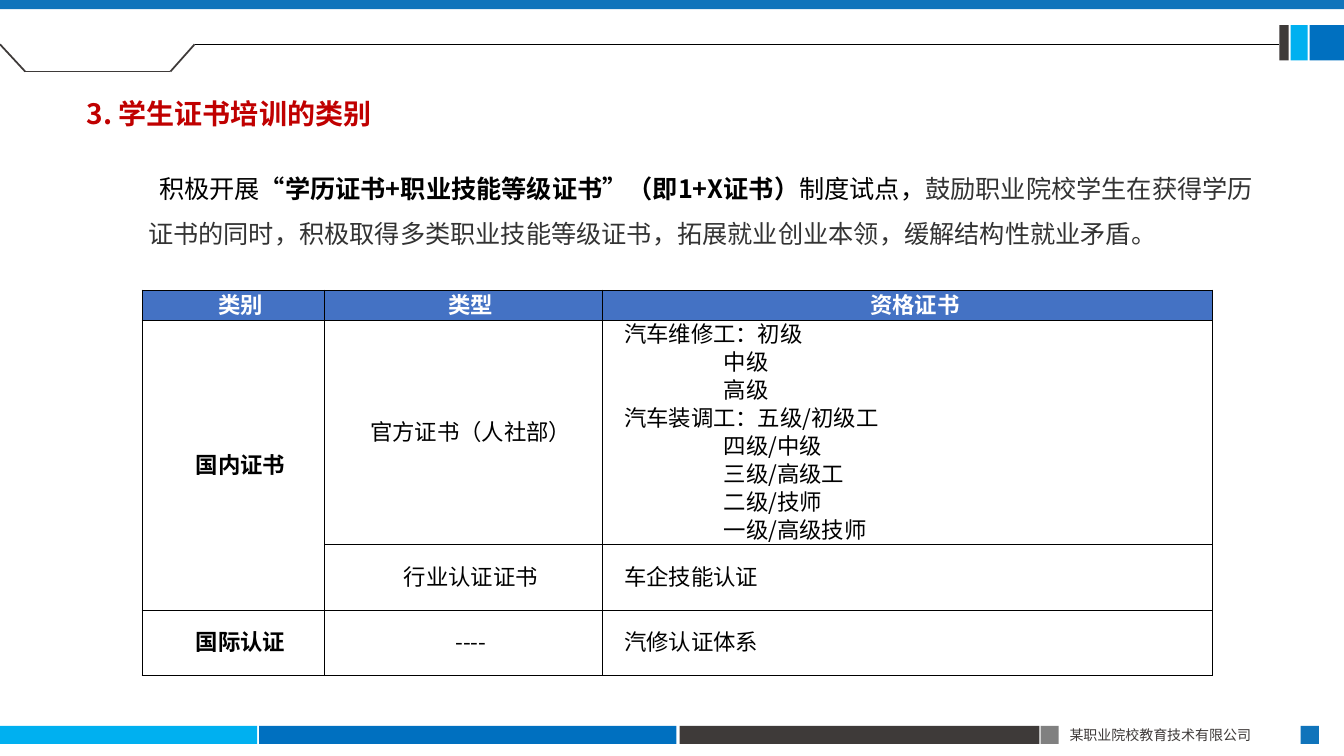
import dataclasses

import lxml.etree
import pptx
import pptx.dml.color
import pptx.enum.shapes
import pptx.enum.text
import pptx.oxml.ns
import pptx.util

Inches, Pt = pptx.util.Inches, pptx.util.Pt
qn = pptx.oxml.ns.qn
ALIGN = pptx.enum.text.PP_ALIGN
MIDDLE = pptx.enum.text.MSO_ANCHOR.MIDDLE

FONT = "Noto Sans CJK SC"
COLORS = {
    "blue": "0070C0", "cyan": "00B0F0", "dark": "3E3A39", "band": "1074BB",
    "gray": "808080", "black": "000000", "body": "333333", "red": "C00000",
    "header": "4472C4", "white": "FFFFFF",
}


@dataclasses.dataclass
class Block:
    left: float
    top: float
    width: float
    height: float
    color: str


@dataclasses.dataclass
class Rule:
    x1: float
    y1: float
    x2: float
    y2: float
    color: str = "dark"
    weight: float = 1.25


@dataclasses.dataclass
class Span:
    text: str
    color: str = "black"
    bold: bool = False


@dataclasses.dataclass
class Entry:
    row: int
    col: int
    lines: list[str]
    bold: bool = False


FOOT_Y, FOOT_H = 7.2, 0.18
BLOCKS = [
    Block(0, 0, 13.33, 0.09, "band"),
    # Top right corner
    Block(12.69, 0.25, 0.09, 0.35, "dark"),
    Block(12.8, 0.25, 0.17, 0.35, "cyan"),
    Block(12.99, 0.25, 0.35, 0.35, "blue"),
    # Footer
    Block(0, FOOT_Y, 2.55, FOOT_H, "cyan"),
    Block(2.57, FOOT_Y, 4.14, FOOT_H, "blue"),
    Block(6.74, FOOT_Y, 3.57, FOOT_H, "dark"),
    Block(10.32, FOOT_Y, 0.18, FOOT_H, "gray"),
    Block(12.9, FOOT_Y, 0.18, FOOT_H, "band"),
]
RULES = [
    Rule(0, 0.44, 0.25, 0.71),
    Rule(0.25, 0.71, 1.69, 0.71),
    Rule(1.69, 0.71, 1.93, 0.44),
    Rule(1.93, 0.44, 12.69, 0.44, "black", 0.5),
]
INTRO = [
    Span("积极开展"),
    Span("“学历证书+职业技能等级证书”（即1+X证书）", bold=True),
    Span("制度试点，"),
    Span("鼓励职业院校学生在获得学历证书的同时，积极取得多类职业技能等级证书，"
         "拓展就业创业本领，缓解结构性就业矛盾。", "body"),
]
COL_WIDTHS = [1.81, 2.76, 6.05]
ROW_HEIGHTS = [0.3, 2.22, 0.65, 0.65]
LEVEL_INDENT = 1.13
ENTRIES = [
    Entry(0, 0, ["类别"], True),
    Entry(0, 1, ["类型"], True),
    Entry(0, 2, ["资格证书"], True),
    Entry(1, 0, ["国内证书"], True),
    Entry(1, 1, ["官方证书（人社部）"]),
    Entry(1, 2, ["汽车维修工：初级", "中级", "高级", "汽车装调工：五级/初级工",
                 "四级/中级", "三级/高级工", "二级/技师", "一级/高级技师"]),
    Entry(2, 1, ["行业认证证书"]),
    Entry(2, 2, ["车企技能认证"]),
    Entry(3, 0, ["国际认证"], True),
    Entry(3, 1, ["----"]),
    Entry(3, 2, ["汽修认证体系"]),
]


def rgb(name: str) -> pptx.dml.color.RGBColor:
    return pptx.dml.color.RGBColor.from_string(COLORS[name])


def set_font(item, size: float, color: str, bold: bool = False) -> None:
    """Format a paragraph or a run, for Latin and East Asian text alike."""
    font = item.font
    font.size, font.bold, font.name = Pt(size), bold, FONT
    font.color.rgb = rgb(color)
    if hasattr(item, "runs"):
        props = item._p.pPr.find(qn("a:defRPr"))
    else:
        props = item._r.rPr
    ea = lxml.etree.Element(qn("a:ea"), typeface=FONT)
    props.find(qn("a:latin")).addnext(ea)


def set_indent(p, first_line: float) -> None:
    props = p._p.get_or_add_pPr()
    props.set("marL", "0")
    props.set("indent", str(Inches(first_line)))


def add_block(slide, b: Block) -> None:
    sp = slide.shapes.add_shape(
        pptx.enum.shapes.MSO_SHAPE.RECTANGLE,
        Inches(b.left), Inches(b.top), Inches(b.width), Inches(b.height))
    sp.shadow.inherit = False
    sp.fill.solid()
    sp.fill.fore_color.rgb = rgb(b.color)
    sp.line.fill.background()


def add_rule(slide, rule: Rule) -> None:
    line = slide.shapes.add_connector(
        pptx.enum.shapes.MSO_CONNECTOR.STRAIGHT,
        Inches(rule.x1), Inches(rule.y1), Inches(rule.x2), Inches(rule.y2))
    line.line.color.rgb = rgb(rule.color)
    line.line.width = Pt(rule.weight)
    lxml.etree.SubElement(line._element.spPr, qn("a:effectLst"))


def add_text(slide, left: float, top: float, width: float, height: float):
    """Add a wrapping text box and return its first paragraph."""
    sp = slide.shapes.add_textbox(
        Inches(left), Inches(top), Inches(width), Inches(height))
    sp.text_frame.word_wrap = True
    return sp.text_frame.paragraphs[0]


def add_borders(cell) -> None:
    props = cell._tc.get_or_add_tcPr()
    for i, side in enumerate(("lnL", "lnR", "lnT", "lnB")):
        ln = lxml.etree.Element(qn(f"a:{side}"), w=str(Pt(1)))
        fill = lxml.etree.SubElement(ln, qn("a:solidFill"))
        lxml.etree.SubElement(fill, qn("a:srgbClr"), val=COLORS["black"])
        props.insert(i, ln)


def fill_cell(table, entry: Entry) -> None:
    cell = table.cell(entry.row, entry.col)
    cell.vertical_anchor = MIDDLE
    cell.margin_left = cell.margin_right = Inches(0.07)
    cell.margin_top = cell.margin_bottom = 0
    listed = entry.row > 0 and entry.col == 2
    tf = cell.text_frame
    tf.text = "\n".join(entry.lines)
    for p in tf.paragraphs:
        sub_level = len(entry.lines) > 1 and "：" not in p.text
        set_indent(p, LEVEL_INDENT if sub_level else 0.14)
        p.alignment = ALIGN.JUSTIFY if listed else ALIGN.CENTER
        p.line_spacing = Pt(20)
        set_font(p, 16, "black" if entry.row else "white", entry.bold)


def add_certificates(slide) -> None:
    table = slide.shapes.add_table(
        len(ROW_HEIGHTS), len(COL_WIDTHS), Inches(1.41), Inches(2.88),
        Inches(sum(COL_WIDTHS)), Inches(sum(ROW_HEIGHTS))).table
    table.first_row = table.horz_banding = False
    for col, width in zip(table.columns, COL_WIDTHS):
        col.width = Inches(width)
    for row, height in zip(table.rows, ROW_HEIGHTS):
        row.height = Inches(height)
    table.cell(1, 0).merge(table.cell(2, 0))
    for i in range(len(ROW_HEIGHTS)):
        for j in range(len(COL_WIDTHS)):
            cell = table.cell(i, j)
            cell.fill.solid()
            cell.fill.fore_color.rgb = rgb("white" if i else "header")
            add_borders(cell)
    for entry in ENTRIES:
        fill_cell(table, entry)


def main() -> None:
    prs = pptx.Presentation()
    prs.slide_width, prs.slide_height = Inches(13.33), Inches(7.5)
    slide = prs.slides.add_slide(prs.slide_layouts[5])

    # Frame
    for block in BLOCKS:
        add_block(slide, block)
    for rule in RULES:
        add_rule(slide, rule)
    p = add_text(slide, 10.51, 7.16, 2.4, 0.27)
    p.text, p.alignment = "某职业院校教育技术有限公司", ALIGN.JUSTIFY
    set_font(p, 10, "dark")

    # Title
    sp = slide.shapes.title
    sp.left, sp.top, sp.width, sp.height = map(Inches, (0.37, 0.74, 3.94, 0.6))
    tf = sp.text_frame
    tf.auto_size = pptx.enum.text.MSO_AUTO_SIZE.NONE
    tf.vertical_anchor = pptx.enum.text.MSO_ANCHOR.TOP
    p = tf.paragraphs[0]
    p.text, p.alignment, p.line_spacing = "3. 学生证书培训的类别", ALIGN.LEFT, 1.5
    set_indent(p, 0.39)
    set_font(p, 20, "red", True)

    # Introduction
    p = add_text(slide, 1.37, 1.52, 11.2, 0.96)
    p.line_spacing = 1.5
    set_indent(p, 0.11)
    for span in INTRO:
        r = p.add_run()
        r.text = span.text
        set_font(r, 18, span.color, span.bold)

    # Certificate table
    add_certificates(slide)
    prs.save("out.pptx")


if __name__ == "__main__":
    main()
